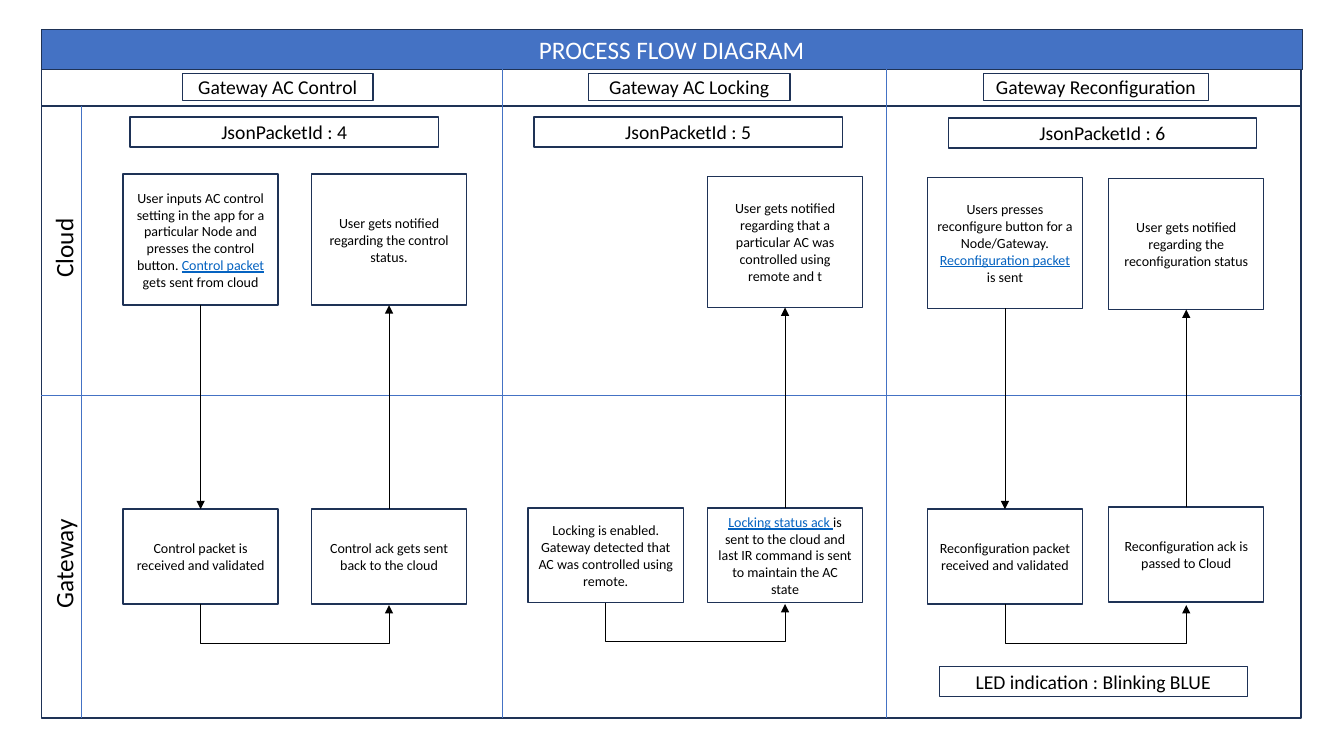
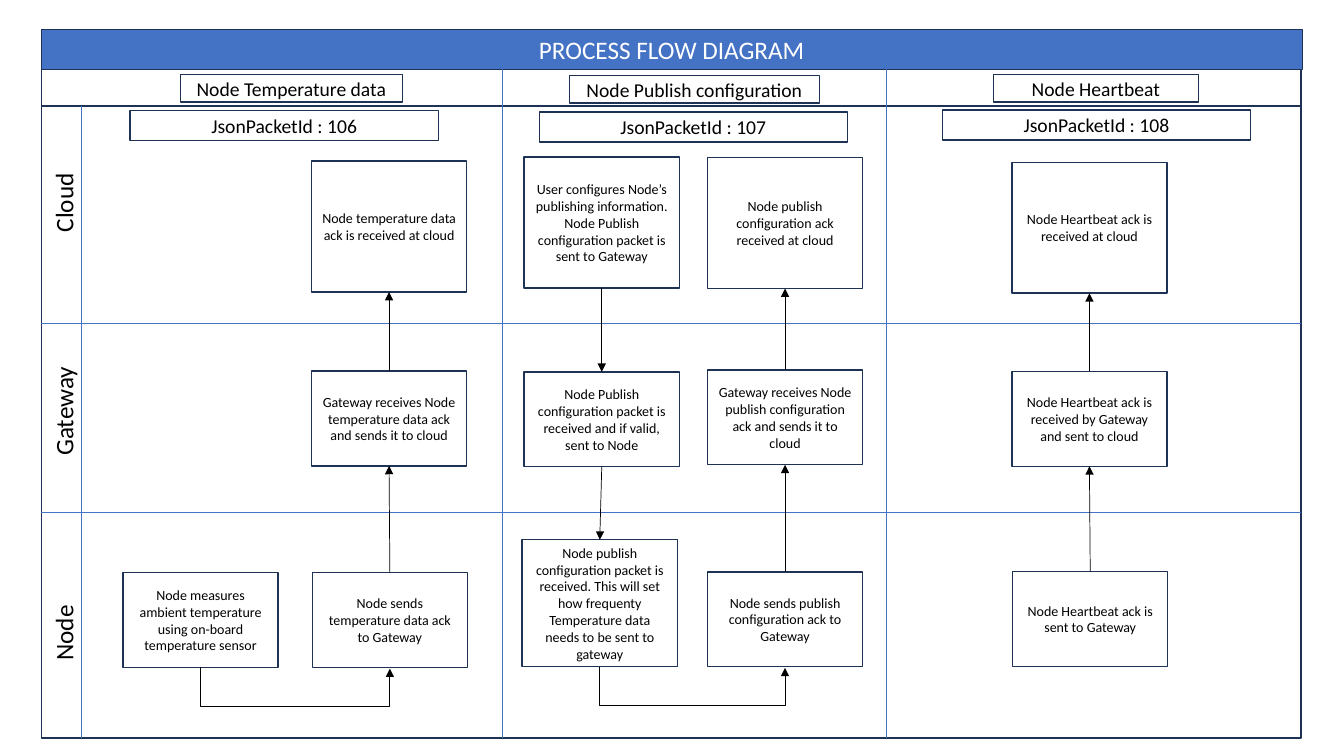
from lxml import etree
from pptx import Presentation
from pptx.dml.color import RGBColor
from pptx.enum.shapes import MSO_CONNECTOR, MSO_SHAPE
from pptx.enum.text import MSO_ANCHOR, PP_ALIGN
from pptx.oxml.ns import qn
from pptx.util import Cm, Pt

BLUE = RGBColor(0x44, 0x72, 0xC4)
NAVY = RGBColor(0x1E, 0x32, 0x56)
LINK = RGBColor(0x05, 0x63, 0xC1)
BLACK = RGBColor(0, 0, 0)
WHITE = RGBColor(255, 255, 255)
FONT = "Calibri"

# Shared grid, in cm
LEFT, WIDTH = 1.04, 31.75
HEADER_TOP, LANES_TOP = 1.75, 2.67
LANE_EDGE = 2.06
COLUMN_EDGES = (12.65, 22.33)
STEP_WIDTH, TALL, SHORT = 3.91, 3.3, 2.39
ELBOW_DROP, ELBOW_RISE = 0.98, 0.03

# lanes: (name, centre); headings: (x, y, width, text); tags: (x, y, text)
# steps: key -> (x, y, height, text), with link wording between bars
PROCESSES = [
    {
        "bottom": 18.09,
        "lanes": [("Cloud", 6.25), ("Gateway", 14.2)],
        "lane_breaks": [9.96],
        "headings": [
            (4.6, 1.85, 4.8, "Gateway AC Control"),
            (14.83, 1.85, 5.08, "Gateway AC Locking"),
            (24.79, 1.85, 5.66, "Gateway Reconfiguration"),
        ],
        "tags": [
            (3.28, 2.95, "JsonPacketId : 4"),
            (13.46, 2.95, "JsonPacketId : 5"),
            (23.9, 2.97, "JsonPacketId : 6"),
            (23.67, 16.79, "LED indication : Blinking BLUE"),
        ],
        "steps": {
            "control input": (3.1, 4.39, TALL,
                "User inputs AC control setting in the app for a particular Node and "
                "presses the control button. |Control packet |gets sent from cloud"),
            "control received": (3.1, 12.83, SHORT,
                "Control packet is received and validated"),
            "control ack": (7.85, 12.83, SHORT,
                "Control ack gets sent back to the cloud"),
            "control notice": (7.85, 4.39, TALL,
                "User gets notified regarding the control status."),
            "locking enabled": (13.31, 12.8, SHORT,
                "Locking is enabled. Gateway detected that AC was controlled using remote."),
            "locking ack": (17.83, 12.8, SHORT,
                "|Locking status ack |is sent to the cloud and last IR command is sent "
                "to maintain the AC state"),
            "locking notice": (17.83, 4.45, TALL,
                "User gets notified regarding that a particular AC was controlled "
                "using remote and t"),
            "reconfigure input": (23.37, 4.47, TALL,
                "Users presses reconfigure button for a Node/Gateway. "
                "|Reconfiguration packet |is sent"),
            "reconfigure received": (23.37, 12.83, SHORT,
                "Reconfiguration packet received and validated"),
            "reconfigure ack": (27.94, 12.78, SHORT,
                "Reconfiguration ack is passed to Cloud"),
            "reconfigure notice": (27.94, 4.5, TALL,
                "User gets notified regarding the reconfiguration status"),
        },
        "down": [("control input", "control received"),
                 ("reconfigure input", "reconfigure received")],
        "up": [("control ack", "control notice"),
               ("locking ack", "locking notice"),
               ("reconfigure ack", "reconfigure notice")],
        "across": [("control received", "control ack"),
                   ("locking enabled", "locking ack"),
                   ("reconfigure received", "reconfigure ack")],
    },
    {
        "bottom": 18.6,
        "lanes": [("Cloud", 5.11), ("Gateway", 10.36), ("Node", 15.95)],
        "lane_breaks": [8.15, 12.9],
        "headings": [
            (4.55, 1.88, 5.59, "Node Temperature data"),
            (14.35, 1.91, 6.3, "Node Publish configuration"),
            (25.04, 1.88, 5.16, "Node Heartbeat"),
        ],
        "tags": [
            (3.28, 2.79, "JsonPacketId : 106"),
            (13.59, 2.82, "JsonPacketId : 107"),
            (23.75, 2.77, "JsonPacketId : 108"),
        ],
        "steps": {
            "temperature measured": (3.1, 14.43, SHORT,
                "Node measures ambient temperature using on-board temperature sensor"),
            "temperature sent": (7.87, 14.43, SHORT,
                "Node sends temperature data ack to Gateway"),
            "temperature relayed": (7.85, 9.35, SHORT,
                "Gateway receives Node temperature data ack and sends it to cloud"),
            "temperature at cloud": (7.85, 4.06, TALL,
                "Node temperature data ack is received at cloud"),
            "publish input": (13.21, 3.96, TALL,
                "User configures Node’s publishing information. Node Publish "
                "configuration packet is sent to Gateway"),
            "publish relayed": (13.21, 9.37, SHORT,
                "Node Publish configuration packet is received and if valid, sent to Node"),
            "publish received": (13.16, 13.6, 3.2,
                "Node publish configuration packet is received. This will set how "
                "frequenty Temperature data needs to be sent to gateway"),
            "publish ack": (17.83, 14.41, SHORT,
                "Node sends publish configuration ack to Gateway"),
            "publish ack relayed": (17.83, 9.32, SHORT,
                "Gateway receives Node publish configuration ack and sends it to cloud"),
            "publish ack at cloud": (17.83, 3.97, TALL,
                "Node publish configuration ack received at cloud"),
            "heartbeat sent": (25.52, 14.4, SHORT,
                "Node Heartbeat ack is sent to Gateway"),
            "heartbeat relayed": (25.5, 9.36, SHORT,
                "Node Heartbeat ack is received by Gateway and sent to cloud"),
            "heartbeat at cloud": (25.5, 4.09, TALL,
                "Node Heartbeat ack is received at cloud"),
        },
        "down": [("publish input", "publish relayed"),
                 ("publish relayed", "publish received")],
        "up": [("temperature sent", "temperature relayed"),
               ("temperature relayed", "temperature at cloud"),
               ("publish ack", "publish ack relayed"),
               ("publish ack relayed", "publish ack at cloud"),
               ("heartbeat sent", "heartbeat relayed"),
               ("heartbeat relayed", "heartbeat at cloud")],
        "across": [("temperature measured", "temperature sent"),
                   ("publish received", "publish ack")],
    },
]


def add_box(slide, x, y, width, height, text="", size=10, fill=WHITE, color=BLACK,
            sideways=False):
    """Outlined box, or a bare label turned to read upwards."""
    bounds = Cm(x), Cm(y), Cm(width), Cm(height)
    if sideways:
        box = slide.shapes.add_textbox(*bounds)
        box.rotation = 270
    else:
        box = slide.shapes.add_shape(MSO_SHAPE.RECTANGLE, *bounds)
        box.shadow.inherit = False
        box.fill.solid()
        box.fill.fore_color.rgb = fill
        box.line.color.rgb = NAVY
        box.line.width = Pt(1)
        box.text_frame.vertical_anchor = MSO_ANCHOR.MIDDLE
    box.text_frame.word_wrap = True
    paragraph = box.text_frame.paragraphs[0]
    paragraph.alignment = PP_ALIGN.CENTER
    for index, part in enumerate(text.split("|")):
        if part:
            is_link = index % 2 == 1
            run = paragraph.add_run()
            run.text = part
            run.font.name = FONT
            run.font.size = Pt(size)
            run.font.color.rgb = LINK if is_link else color
            run.font.underline = is_link
    return box


def add_line(slide, x1, y1, x2, y2, color=BLUE, kind=MSO_CONNECTOR.STRAIGHT, arrow=False):
    line = slide.shapes.add_connector(kind, Cm(x1), Cm(y1), Cm(x2), Cm(y2))
    line.line.color.rgb = color
    line.line.width = Pt(0.5)
    properties = line._element.spPr
    if arrow:
        etree.SubElement(properties.find(qn("a:ln")), qn("a:tailEnd"), type="triangle")
    etree.SubElement(properties, qn("a:effectLst"))
    return line


presentation = Presentation()
presentation.slide_width = Cm(33.87)
presentation.slide_height = Cm(19.05)

for process in PROCESSES:
    slide = presentation.slides.add_slide(presentation.slide_layouts[6])
    bottom = process["bottom"]

    # Frame, title band and header row
    add_box(slide, LEFT, LANES_TOP, WIDTH, bottom - LANES_TOP)
    add_box(slide, LEFT, 0.74, WIDTH + 0.03, 1.02, "PROCESS FLOW DIAGRAM", 18, BLUE, WHITE)
    add_box(slide, LEFT, HEADER_TOP, WIDTH, LANES_TOP - HEADER_TOP)

    # Lane and column dividers
    add_line(slide, LANE_EDGE, LANES_TOP, LANE_EDGE, bottom)
    for edge in COLUMN_EDGES:
        add_line(slide, edge, HEADER_TOP, edge, bottom)
    for lane_break in process["lane_breaks"]:
        add_line(slide, LEFT, lane_break, LEFT + WIDTH, lane_break)

    # Lane names, column headings and tags
    for name, centre in process["lanes"]:
        add_box(slide, -0.2, centre - 0.51, 3.6, 1.02, name, 18, sideways=True)
    for x, y, width, heading in process["headings"]:
        add_box(slide, x, y, width, 0.69, heading, 14)
    for x, y, tag in process["tags"]:
        add_box(slide, x, y, 7.77, 0.76, tag, 14)

    # Steps
    steps = {}
    for key, (x, y, height, text) in process["steps"].items():
        steps[key] = add_box(slide, x, y, STEP_WIDTH, height, text)

    # Arrows between lanes
    for direction, start_side, end_side in (("down", 2, 0), ("up", 0, 2)):
        for start, end in process[direction]:
            arrow = add_line(slide, 0, 0, 0, 0, BLACK, arrow=True)
            arrow.begin_connect(steps[start], start_side)
            arrow.end_connect(steps[end], end_side)

    # Arrows under two neighbouring steps: an elbow turned a quarter
    for start, end in process["across"]:
        start_x, start_y, start_height, _ = process["steps"][start]
        span = process["steps"][end][0] - start_x
        middle_x = start_x + (STEP_WIDTH + span) / 2
        middle_y = start_y + start_height + ELBOW_RISE / 2
        elbow = add_line(slide, middle_x + ELBOW_RISE / 2, middle_y - span / 2,
                         middle_x - ELBOW_RISE / 2, middle_y + span / 2,
                         BLACK, MSO_CONNECTOR.ELBOW, arrow=True)
        properties = elbow._element.spPr
        properties.find(qn("a:xfrm")).set("rot", str(270 * 60000))
        geometry = properties.find(qn("a:prstGeom"))
        adjustments = geometry.find(qn("a:avLst"))
        if adjustments is None:
            adjustments = etree.SubElement(geometry, qn("a:avLst"))
        drop = round(ELBOW_DROP / ELBOW_RISE * 100000)
        etree.SubElement(adjustments, qn("a:gd"), name="adj1", fmla=f"val {drop}")

presentation.save("out.pptx")
